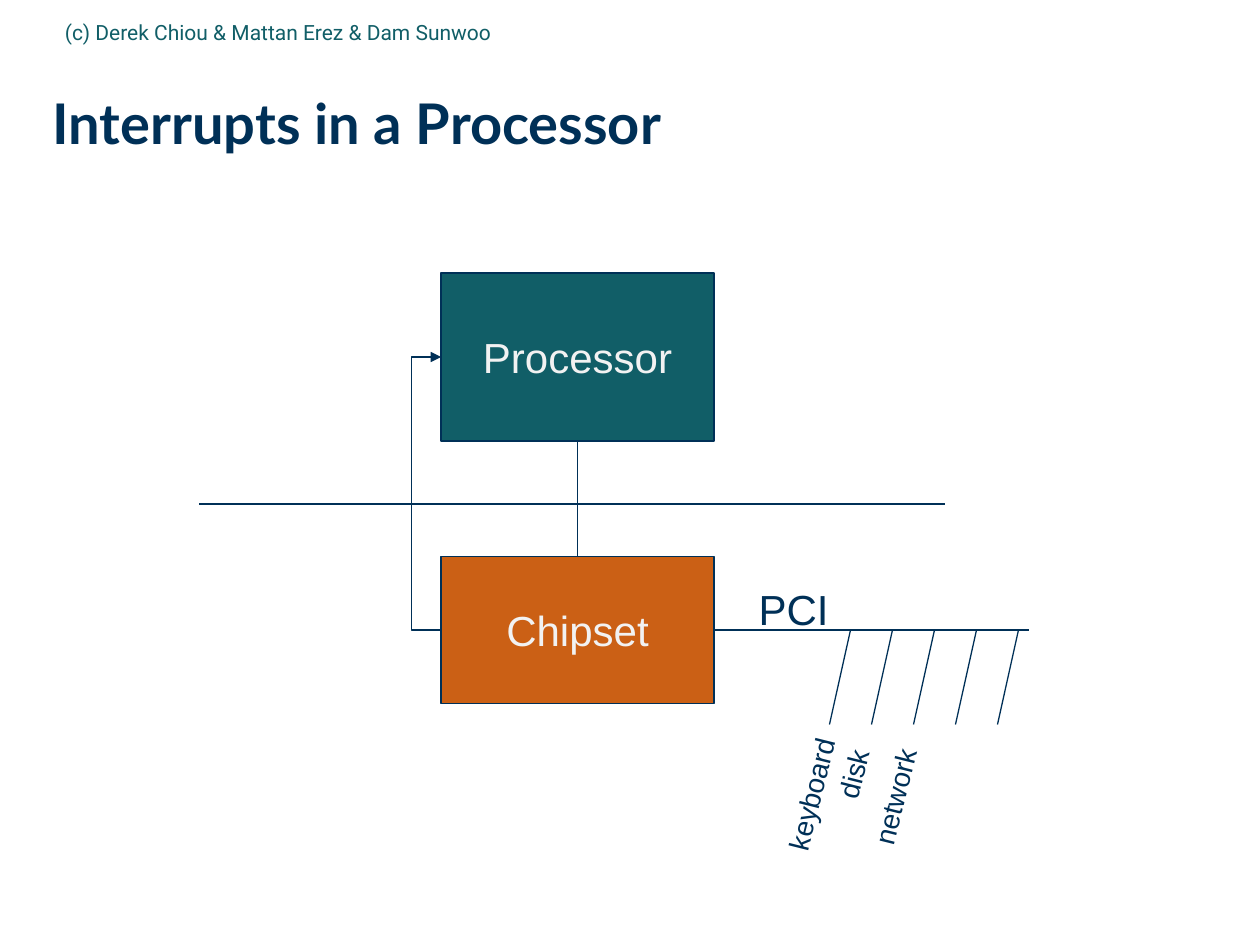
from lxml.etree import SubElement
from pptx import Presentation
from pptx.dml.color import RGBColor
from pptx.enum.shapes import MSO_CONNECTOR as CONN, MSO_SHAPE
from pptx.enum.text import MSO_ANCHOR as ANCHOR, PP_ALIGN as ALIGN
from pptx.oxml.ns import qn
from pptx.util import Pt

COLORS = {"navy": "003057", "teal": "115E67", "orange": "CB6015", "light": "F2F2F2"}

# Content: text, box (left, top, width, height), format
TITLE = ("Interrupts in a Processor", (30, 36, 678, 70.5),
         {"name": "Lato", "size": Pt(32), "bold": True})
CREDIT = ("(c) Derek Chiou & Mattan Erez & Dam Sunwoo", (30, 2, 408, 33),
          {"name": "Roboto", "size": Pt(12)})
BLOCKS = [("Processor", (252, 156, 156, 96), "teal"),
          ("Chipset", (252, 318, 156, 84), "orange")]
BUS_LABEL = ("PCI", (426, 330, 55, 36))
DEVICES = [("keyboard", (423.5, 440.5, 80, 26.5)),
           ("disk", (466, 429, 43, 26.5)),
           ("network", (476, 442, 70.5, 26.5))]

# Layout in points
DIVIDER = (114, 288, 540, 288)
BUS_Y, BUS_END = 360, 588
SLOT_X, SLOT_GAP, SLOT_COUNT = 486, 24, 5
SLOT_SLANT, SLOT_DROP = 12, 54
LABEL_ANGLE = 284
ELBOW_REACH, ELBOW_WIDTH = 18, 0.12

prs = Presentation()
prs.slide_width, prs.slide_height = Pt(720), Pt(540)
s = prs.slides.add_slide(prs.slide_layouts[6])


def rgb(name):
    return RGBColor.from_string(COLORS[name])


def write(sp, text, color, fmt, align, anchor, wrap):
    tf = sp.text_frame
    tf.word_wrap, tf.vertical_anchor = wrap, anchor
    p = tf.paragraphs[0]
    p.alignment = align
    r = p.add_run()
    r.text = text
    r.font.color.rgb = rgb(color)
    for key, value in fmt.items():
        setattr(r.font, key, value)


def add_text(text, box, fmt, color="navy", align=ALIGN.CENTER, anchor=ANCHOR.TOP, wrap=False):
    sp = s.shapes.add_textbox(*map(Pt, box))
    write(sp, text, color, fmt, align, anchor, wrap)
    return sp


def add_block(text, box, fill):
    sp = s.shapes.add_shape(MSO_SHAPE.RECTANGLE, *map(Pt, box))
    sp.shadow.inherit = False
    sp.fill.solid()
    sp.fill.fore_color.rgb = rgb(fill)
    sp.line.color.rgb, sp.line.width = rgb("navy"), Pt(0.75)
    write(sp, text, "light", arial(24), ALIGN.CENTER, ANCHOR.MIDDLE, False)
    return sp


def add_line(x1, y1, x2, y2, kind=CONN.STRAIGHT):
    line = s.shapes.add_connector(kind, *map(Pt, (x1, y1, x2, y2)))
    line.line.color.rgb, line.line.width = rgb("navy"), Pt(0.75)
    SubElement(line._element.spPr, qn("a:effectLst"))
    return line


def arial(size):
    return {"name": "Arial", "size": Pt(size)}


# Title and credit
title = add_text(*TITLE, align=ALIGN.LEFT, anchor=ANCHOR.MIDDLE, wrap=True)
for side in ("left", "top", "right", "bottom"):
    setattr(title.text_frame, f"margin_{side}", 0)
title.text_frame.paragraphs[0].line_spacing = 0.99
add_text(*CREDIT, color="teal", align=ALIGN.LEFT, anchor=ANCHOR.MIDDLE, wrap=True)

# Blocks, divider and the link between blocks
processor, chipset = [add_block(*block) for block in BLOCKS]
add_line(*DIVIDER)
link = add_line(330, 252, 330, 318)
link.begin_connect(processor, 2)
link.end_connect(chipset, 0)

# Bus with its slots and labels
bus = add_line(408, BUS_Y, BUS_END, BUS_Y)
bus.begin_connect(chipset, 3)
add_text(*BUS_LABEL, arial(24))
for i in range(SLOT_COUNT):
    x = SLOT_X + i * SLOT_GAP
    add_line(x, BUS_Y, x - SLOT_SLANT, BUS_Y + SLOT_DROP)
for name, box in DEVICES:
    add_text(name, box, arial(16)).rotation = LABEL_ANGLE

# Interrupt arrow: the bend is a multiple of the width, so the width is kept above zero
interrupt = add_line(252, BUS_Y, 252, 204, CONN.ELBOW)
interrupt.begin_connect(chipset, 1)
interrupt.end_connect(processor, 1)
interrupt.width = Pt(ELBOW_WIDTH)
bend = round(-ELBOW_REACH / ELBOW_WIDTH * 100000)
guides = interrupt._element.spPr.find(qn("a:prstGeom")).get_or_add_avLst()
SubElement(guides, qn("a:gd"), name="adj1", fmla=f"val {bend}")
SubElement(interrupt.line._get_or_add_ln(), qn("a:tailEnd"), type="triangle")

prs.save("out.pptx")
